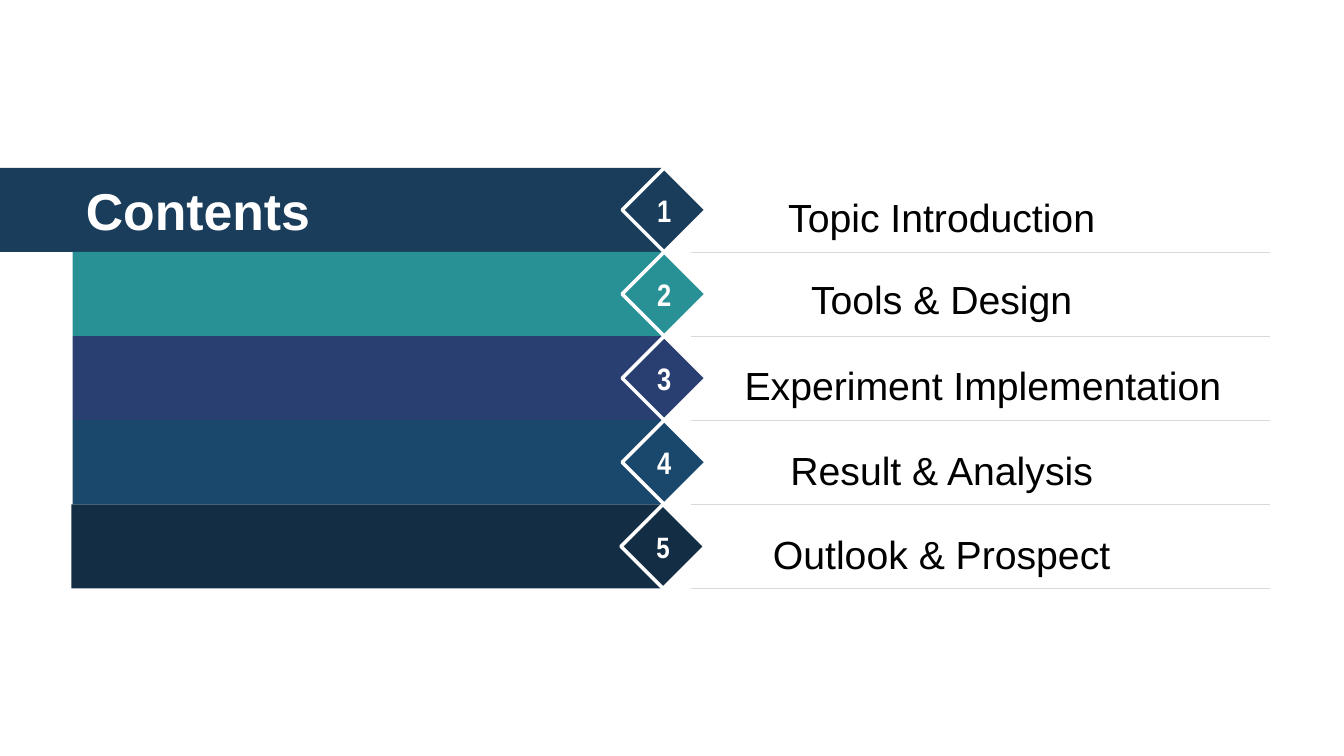
from lxml import etree
from pptx import Presentation
from pptx.dml.color import RGBColor
from pptx.enum.shapes import MSO_CONNECTOR, MSO_SHAPE as SHAPE
from pptx.enum.text import MSO_ANCHOR, PP_ALIGN
from pptx.oxml.ns import qn
from pptx.util import Cm, Pt

WHITE = RGBColor(0xFF, 0xFF, 0xFF)
BLACK = RGBColor(0x00, 0x00, 0x00)
RULE_GRAY = RGBColor(0xD9, 0xD9, 0xD9)
NAVY = RGBColor(0x19, 0x3D, 0x5A)
TEAL = RGBColor(0x28, 0x91, 0x95)
INDIGO = RGBColor(0x2A, 0x3F, 0x71)
BLUE = RGBColor(0x1A, 0x47, 0x6C)
MIDNIGHT = RGBColor(0x13, 0x2E, 0x44)

ROW_H = 2.12
# Topic, colour, bar left, bar right, label width, line spacing, number size
ROWS = [
    ("Topic Introduction", NAVY, 0, 16.74, 11.84, 1.3, 22.2),
    ("Tools & Design", TEAL, 1.83, 16.74, 11.84, 1.2, 22.2),
    ("Experiment Implementation", INDIGO, 1.83, 16.74, 13.92, 1.3, 22.2),
    ("Result & Analysis", BLUE, 1.83, 16.74, 11.84, 1.3, 22.2),
    ("Outlook & Prospect", MIDNIGHT, 1.8, 16.71, 11.84, 1.3, 21),
]


def add_block(s, kind, x, y, w, h, fill):
    sp = s.shapes.add_shape(kind, Cm(x), Cm(y), Cm(w), Cm(h))
    sp.shadow.inherit = False
    sp.fill.solid()
    sp.fill.fore_color.rgb = fill
    sp.line.fill.background()
    return sp


def set_text(sp, text, font, size, color, bold=False, spacing=1.0):
    tf = sp.text_frame
    tf.margin_left = tf.margin_right = tf.margin_top = tf.margin_bottom = 0
    tf.word_wrap = False
    tf.vertical_anchor = MSO_ANCHOR.MIDDLE
    p = tf.paragraphs[0]
    p.text = text
    p.alignment = PP_ALIGN.CENTER
    p.line_spacing = spacing
    p.font.name, p.font.size, p.font.bold = font, Pt(size), bold
    p.font.color.rgb = color


def add_bars(s, top):
    for i, (_, color, left, right, *_) in enumerate(ROWS):
        add_block(s, SHAPE.RECTANGLE, left, top + i * ROW_H, right - left, ROW_H, color)
    # Heading on the first bar
    heading = s.shapes.add_textbox(Cm(1.8), Cm(top), Cm(6.38), Cm(ROW_H))
    set_text(heading, "Contents", "Arial", 37, WHITE, bold=True)


def add_diamonds(s, top):
    for i, (_, color, _, right, _, _, size) in enumerate(ROWS):
        # Each diamond straddles the right end of its bar
        sp = add_block(s, SHAPE.DIAMOND, right - ROW_H / 2, top + i * ROW_H, ROW_H, ROW_H, color)
        sp.line.color.rgb = WHITE
        sp.line.width = Pt(2.5)
        set_text(sp, str(i + 1), "Arial Narrow", size, WHITE, bold=True)


def add_topics(s, left, top, right):
    label_h = 1.65
    for i, (topic, _, _, _, width, spacing, _) in enumerate(ROWS):
        y = top + i * ROW_H
        # Label
        sp = add_block(s, SHAPE.RECTANGLE, left + 0.39, y + (ROW_H - label_h) / 2,
                       width, label_h, WHITE)
        set_text(sp, topic, "Arial", 28, BLACK, spacing=spacing)
        # Rule below it
        rule = s.shapes.add_connector(MSO_CONNECTOR.STRAIGHT, Cm(left), Cm(y + ROW_H),
                                      Cm(right), Cm(y + ROW_H))
        rule.line.color.rgb = RULE_GRAY
        rule.line.width = Pt(0.25)
        etree.SubElement(rule._element.spPr, qn("a:effectLst"))


def add_contents(s, top):
    add_bars(s, top)
    add_diamonds(s, top)
    add_topics(s, 17.42, top, 32)


def main():
    prs = Presentation()
    prs.slide_width, prs.slide_height = Cm(33.87), Cm(19.05)
    s = prs.slides.add_slide(prs.slide_layouts[6])
    add_contents(s, 4.23)
    prs.save("out.pptx")


if __name__ == "__main__":
    main()
